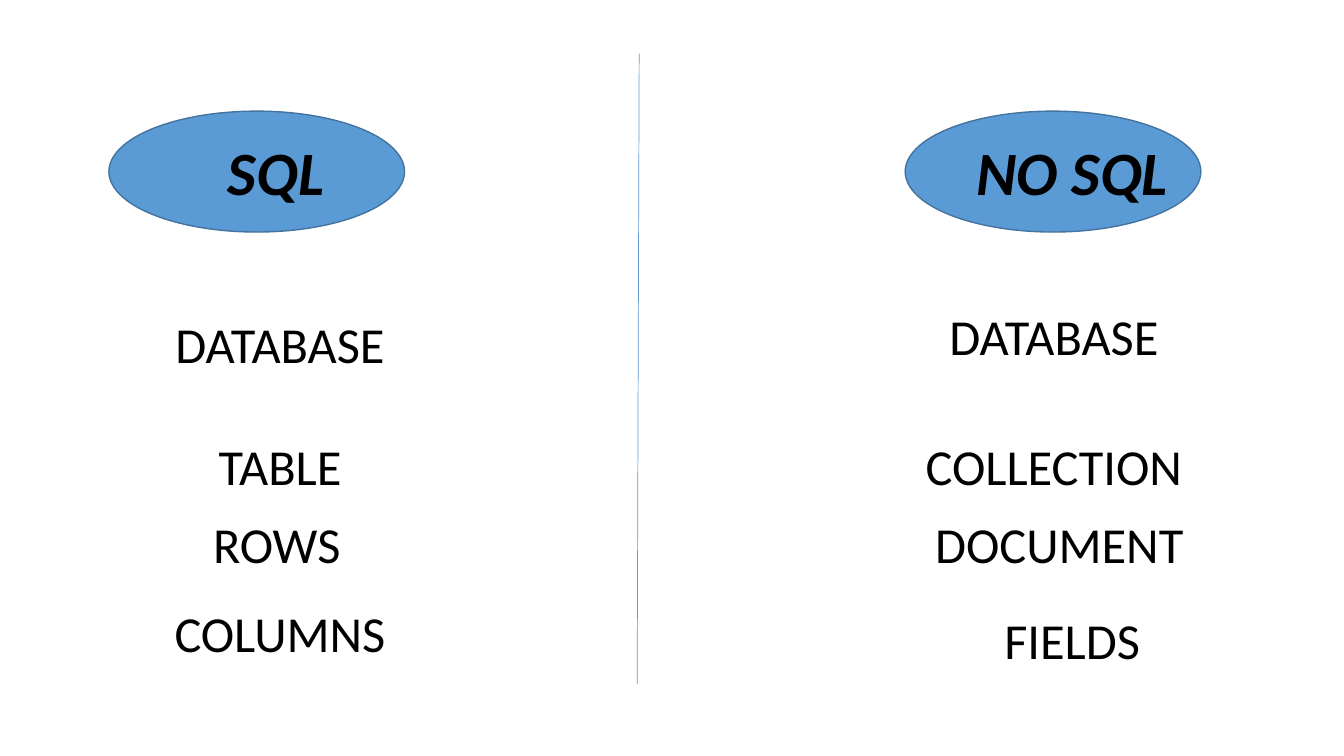
from pptx import Presentation
from pptx.dml.color import RGBColor
from pptx.enum.shapes import MSO_CONNECTOR as CONN, MSO_SHAPE as SHAPE
from pptx.enum.text import MSO_ANCHOR as ANCHOR, PP_ALIGN as ALIGN
from pptx.util import Inches, Pt
from lxml import etree

W, H = 13.33, 7.5
A_NS = "http://schemas.openxmlformats.org/drawingml/2006/main"


def color(value):
    return RGBColor.from_string(value)


def add_text(s, text, x, y, w, h, size=36, bold=False, italic=False,
             font="Calibri", fill="000000"):
    tf = s.shapes.add_textbox(Inches(x), Inches(y), Inches(w), Inches(h)).text_frame
    tf.word_wrap = True
    tf.vertical_anchor = ANCHOR.TOP
    p = tf.paragraphs[0]
    p.alignment = ALIGN.CENTER
    r = p.add_run()
    r.text = text
    r.font.name, r.font.size = font, Pt(size)
    r.font.bold, r.font.italic = bold, italic
    r.font.color.rgb = color(fill)


def add_column(s, box, heading, terms):
    x, y, w, h = box
    head_h = 0.211 * h
    sp = s.shapes.add_shape(SHAPE.OVAL, Inches(x), Inches(y), Inches(w), Inches(head_h))
    sp.shadow.inherit = False
    sp.fill.solid()
    sp.fill.fore_color.rgb = color("5B9BD5")
    sp.line.color.rgb = color("43739E")
    sp.line.width = Pt(1)
    add_text(s, heading, x, y + 0.15 * head_h, 1.13 * w, 0.7 * head_h,
             size=44, bold=True, italic=True)
    for term, dx, dy in terms:
        add_text(s, term, x + dx * w, y + dy * h, 0.966 * w, 0.125 * h)


def add_divider(s, x1, y1, x2, y2):
    sp = s.shapes.add_connector(CONN.STRAIGHT, Inches(x1), Inches(y1),
                                Inches(x2), Inches(y2))
    sp.line.color.rgb = color("5B9BD5")
    sp.line.width = Pt(0.5)
    etree.SubElement(sp._element.spPr, f"{{{A_NS}}}effectLst")


def add_comparison(prs):
    s = prs.slides.add_slide(prs.slide_layouts[6])
    top, width, height = 0.147 * H, 0.22 * W, 0.758 * H
    columns = [
        (0.081, "SQL", [("DATABASE", 0.096, 0.343), ("TABLE", 0.096, 0.556),
                        ("ROWS", 0.085, 0.693), ("COLUMNS", 0.096, 0.848)]),
        (0.6735, "NO SQL", [("DATABASE", 0.02, 0.329), ("COLLECTION", 0.02, 0.556),
                            ("DOCUMENT", 0.038, 0.693), ("FIELDS", 0.082, 0.86)]),
    ]
    for left, heading, terms in columns:
        add_column(s, (left * W, top, width, height), heading, terms)
    add_divider(s, 0.4756 * W, 0.071 * H, 0.4741 * W, 0.905 * H)


prs = Presentation()
prs.slide_width, prs.slide_height = Inches(W), Inches(H)
add_comparison(prs)
prs.save("out.pptx")
